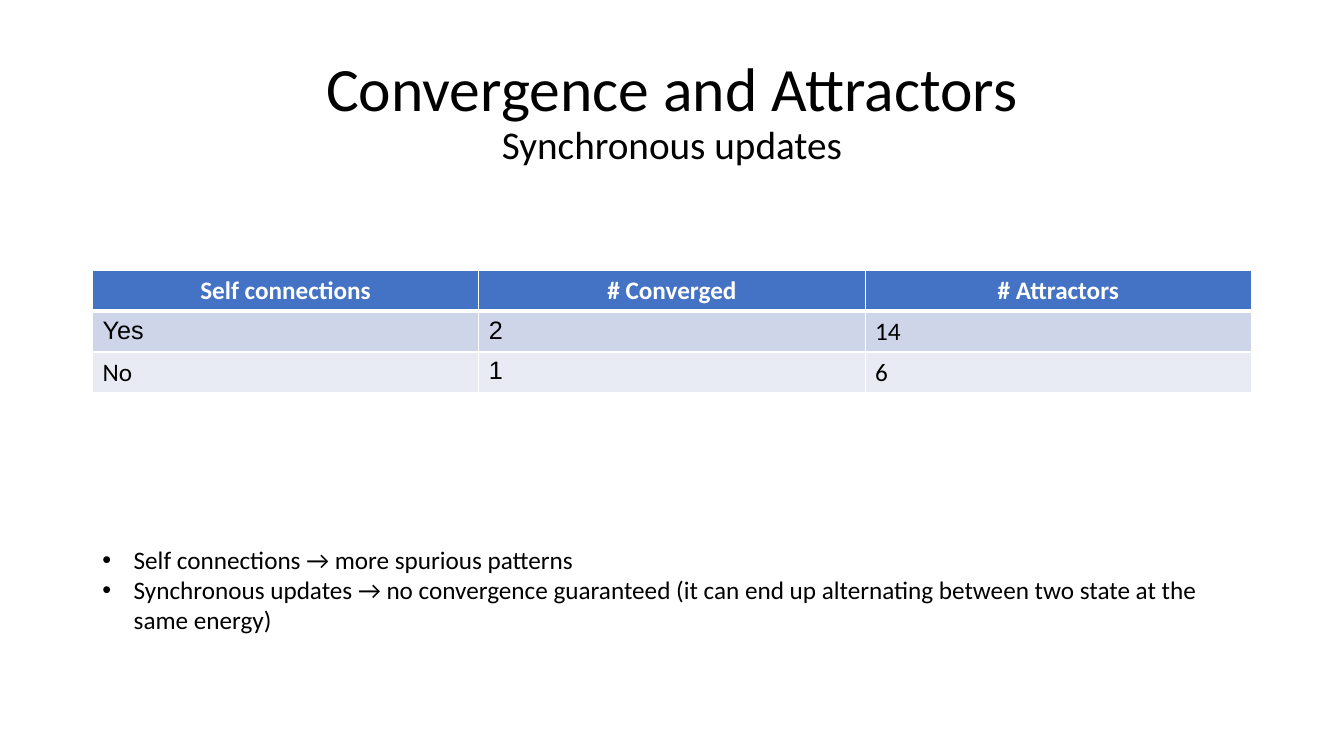
from dataclasses import dataclass
from lxml import etree
from pptx import Presentation
from pptx.dml.color import RGBColor
from pptx.enum.text import MSO_ANCHOR, MSO_AUTO_SIZE, PP_ALIGN
from pptx.oxml.ns import qn
from pptx.util import Cm, Pt

MID = MSO_ANCHOR.MIDDLE
FIXED = MSO_AUTO_SIZE.NONE
LEFT, CENTER = PP_ALIGN.LEFT, PP_ALIGN.CENTER


@dataclass(frozen=True)
class Theme:
    black: str = "000000"
    white: str = "FFFFFF"
    bands: tuple = ("4472C4", "CFD5E9", "E8EBF4")
    sans: str = "Calibri"
    plain: str = "Arial"
    head: int = 44
    sub: int = 28
    body: int = 18


theme = Theme()


def add_run(para, text, size, color=theme.black, face=theme.sans, bold=False):
    run = para.add_run()
    run.text = text
    run.font.size = Pt(size)
    run.font.name = face
    run.font.bold = bold
    run.font.color.rgb = RGBColor.from_string(color)


def add_edge(cell, side, width):
    props = cell._tc.get_or_add_tcPr()
    line = etree.SubElement(props, qn(f"a:ln{side}"), w=str(Pt(width)))
    fill = etree.SubElement(line, qn("a:solidFill"))
    etree.SubElement(fill, qn("a:srgbClr"), val=theme.white)


deck = Presentation()
deck.slide_width, deck.slide_height = Cm(33.87), Cm(19.05)
slide = deck.slides.add_slide(deck.slide_layouts[5])
left, width = Cm(2.33), Cm(29.21)

title = slide.shapes.title
title.left, title.top, title.width, title.height = left, Cm(1.01), width, Cm(3.68)
frame = title.text_frame
frame.word_wrap = True
frame.auto_size = FIXED
frame.vertical_anchor = MID
para = frame.paragraphs[0]
para.alignment = CENTER
para.line_spacing = 0.9
add_run(para, "Convergence and Attractors", theme.head)
para.add_line_break()
add_run(para, "Synchronous updates", theme.sub)

rows = [
    [("Self connections", theme.sans), ("# Converged", theme.sans), ("# Attractors", theme.sans)],
    [("Yes", theme.plain), ("2", theme.plain), ("14", theme.sans)],
    [("No", theme.sans), ("1", theme.plain), ("6", theme.sans)],
]
table = slide.shapes.add_table(3, 3, left, Cm(6.81), width, Cm(3.09)).table
for r, row in enumerate(rows):
    top = r == 0
    edges = {"L": 1, "R": 1, "T": 3 if r == 1 else 1, "B": 3 if top else 1}
    for c, (text, face) in enumerate(row):
        cell = table.cell(r, c)
        for side, size in edges.items():
            add_edge(cell, side, size)
        cell.fill.solid()
        cell.fill.fore_color.rgb = RGBColor.from_string(theme.bands[r])
        para = cell.text_frame.paragraphs[0]
        para.alignment = CENTER if top else LEFT
        add_run(para, text, theme.body, theme.white if top else theme.black, face, top)

notes = [
    "Self connections → more spurious patterns",
    "Synchronous updates → no convergence guaranteed "
    "(it can end up alternating between two state at the same energy)",
]
frame = slide.shapes.add_textbox(left, Cm(13.59), width, Cm(2.54)).text_frame
frame.word_wrap = True
for i, note in enumerate(notes):
    para = frame.add_paragraph() if i else frame.paragraphs[0]
    props = para._p.get_or_add_pPr()
    props.set("marL", str(Cm(0.79)))
    props.set("indent", str(-Cm(0.79)))
    etree.SubElement(props, qn("a:buFont"), typeface=theme.plain)
    etree.SubElement(props, qn("a:buChar"), char="•")
    add_run(para, note, theme.body)

deck.save("out.pptx")
